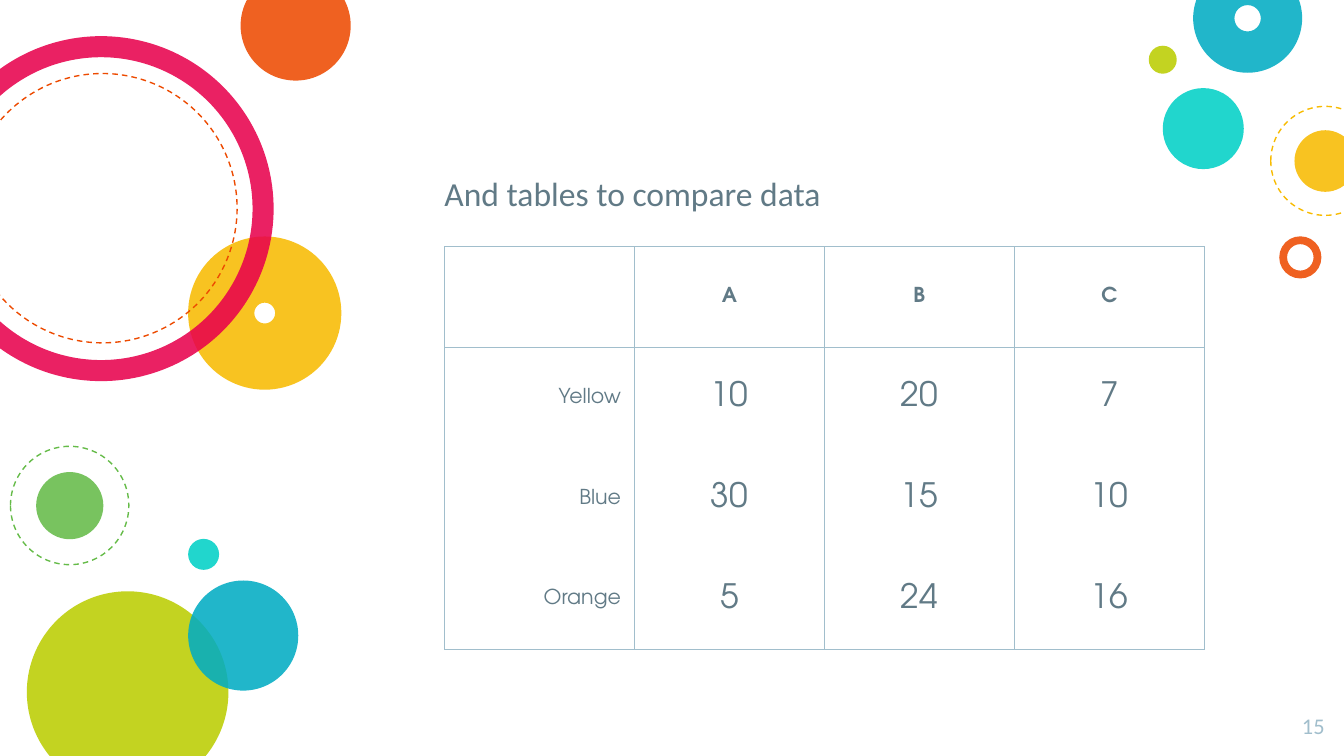
from lxml.etree import SubElement
from pptx import Presentation
from pptx.dml.color import RGBColor
from pptx.enum.dml import MSO_LINE
from pptx.enum.shapes import MSO_SHAPE
from pptx.enum.text import MSO_ANCHOR, PP_ALIGN
from pptx.oxml.ns import qn
from pptx.util import Pt

TITLE = "And tables to compare data"
PAGE_NUMBER = "15"
ROWS = [
    ("", "A", "B", "C"),
    ("Yellow", "10", "20", "7"),
    ("Blue", "30", "15", "10"),
    ("Orange", "5", "24", "16"),
]

TEXT, PALE = "617A86", "A1BECC"
TEAL, LIME, GREEN, YELLOW = "00D1C6", "BBCD00", "65BB48", "F8BB00"
ORANGE, PINK, BLUE = "ED4A00", "E8004C", "00ACC3"
HEADING_FONT, TABLE_FONT = "Calibri", "TeX Gyre Adventor"

# kind, left, top, diameter, colour, ring thickness
CIRCLES = [
    ("disc", 100.8, 288.7, 16.6, TEAL, None),
    ("disc", 14.4, 316.8, 108, LIME, None),
    ("disc", 19.4, 252.9, 36, GREEN, None),
    ("dashed", 5.6, 239.1, 63.4, GREEN, None),
    ("ring", 100.8, 126.7, 82.1, YELLOW, 0.432),
    ("disc", 128.9, -15.8, 59, ORANGE, None),
    ("ring", -38.2, 19.4, 184.8, PINK, 0.061),
    ("dashed", -17.3, 39.4, 144.3, ORANGE, None),
    ("disc", 100.8, 311, 59, BLUE, None),
    ("disc", 622.9, 47.2, 43.4, TEAL, None),
    ("ring", 685.3, 126.6, 22.6, ORANGE, 0.186),
    ("disc", 693.5, 69.8, 33, YELLOW, None),
    ("ring", 639.2, -19.4, 58.4, BLUE, 0.379),
    ("disc", 615.4, 24.5, 15, LIME, None),
    ("dashed", 680.8, 57, 58.4, YELLOW, None),
]
TABLE_LEFT, TABLE_TOP = 238.2, 132.2
COLUMN_WIDTH, ROW_HEIGHT = 101.75, 53.95


def color(value):
    return RGBColor.from_string(value)


def add_circle(page, kind, left, top, diameter, hue, thickness):
    preset = MSO_SHAPE.DONUT if kind == "ring" else MSO_SHAPE.OVAL
    circle = page.shapes.add_shape(preset, Pt(left), Pt(top), Pt(diameter), Pt(diameter))
    circle.shadow.inherit = False
    if kind == "dashed":
        circle.fill.background()
        circle.line.color.rgb = color(hue)
        circle.line.width = Pt(0.75)
        circle.line.dash_style = MSO_LINE.DASH
        return
    circle.fill.solid()
    circle.fill.fore_color.rgb = color(hue)
    solid = circle._element.spPr.find(qn("a:solidFill"))
    SubElement(solid[0], qn("a:alpha"), val="87000")
    circle.line.fill.background()
    if thickness:
        circle.adjustments[0] = thickness


def write(frame, text, size, font, hue, align, bold=False):
    para = frame.paragraphs[0]
    para.text = text
    para.alignment = align
    for span in para.runs:
        span.font.size = Pt(size)
        span.font.name = font
        span.font.bold = bold
        span.font.color.rgb = color(hue)


def add_text(page, area, text, size, hue, align, anchor):
    box = page.shapes.add_textbox(*map(Pt, area))
    frame = box.text_frame
    frame.word_wrap = True
    frame.vertical_anchor = anchor
    frame.margin_left = frame.margin_right = Pt(7.2)
    frame.margin_top = frame.margin_bottom = Pt(7.2)
    write(frame, text, size, HEADING_FONT, hue, align)


def set_borders(cell, visible):
    properties = cell._tc.get_or_add_tcPr()
    for side in "LRTB":
        line = SubElement(properties, qn(f"a:ln{side}"), w=str(Pt(0.75)))
        if side in visible:
            solid = SubElement(line, qn("a:solidFill"))
            SubElement(solid, qn("a:srgbClr"), val=PALE)
        else:
            SubElement(line, qn("a:noFill"))


def add_comparison(page):
    row_count, column_count = len(ROWS), len(ROWS[0])
    table = page.shapes.add_table(
        row_count, column_count, Pt(TABLE_LEFT), Pt(TABLE_TOP),
        Pt(COLUMN_WIDTH * column_count), Pt(ROW_HEIGHT * row_count),
    ).table
    table.first_row = table.horz_banding = False
    for column in table.columns:
        column.width = Pt(COLUMN_WIDTH)
    for row_index, values in enumerate(ROWS):
        table.rows[row_index].height = Pt(ROW_HEIGHT)
        header = row_index == 0
        visible = "LR" + ("T" if row_index < 2 else "")
        visible += "B" if row_index in (0, row_count - 1) else ""
        for column_index, value in enumerate(values):
            cell = table.cell(row_index, column_index)
            label = column_index == 0
            cell.vertical_anchor = MSO_ANCHOR.MIDDLE
            cell.margin_left = cell.margin_right = Pt(7.2)
            cell.margin_top = cell.margin_bottom = Pt(5)
            set_borders(cell, visible)
            cell.fill.background()
            write(cell.text_frame, value, 11 if header or label else 18, TABLE_FONT, TEXT,
                  PP_ALIGN.RIGHT if label else PP_ALIGN.CENTER, header)


def main():
    deck = Presentation()
    deck.slide_width, deck.slide_height = Pt(720), Pt(405)
    page = deck.slides.add_slide(deck.slide_layouts[6])
    for circle in CIRCLES:
        add_circle(page, *circle)
    add_text(page, (231, 71.2, 415.4, 50.4), TITLE, 18, TEXT, PP_ALIGN.LEFT, MSO_ANCHOR.BOTTOM)
    add_comparison(page)
    add_text(page, (679.7, 374.4, 37, 31), PAGE_NUMBER, 12, PALE, PP_ALIGN.RIGHT, MSO_ANCHOR.TOP)
    deck.save("out.pptx")


if __name__ == "__main__":
    main()
